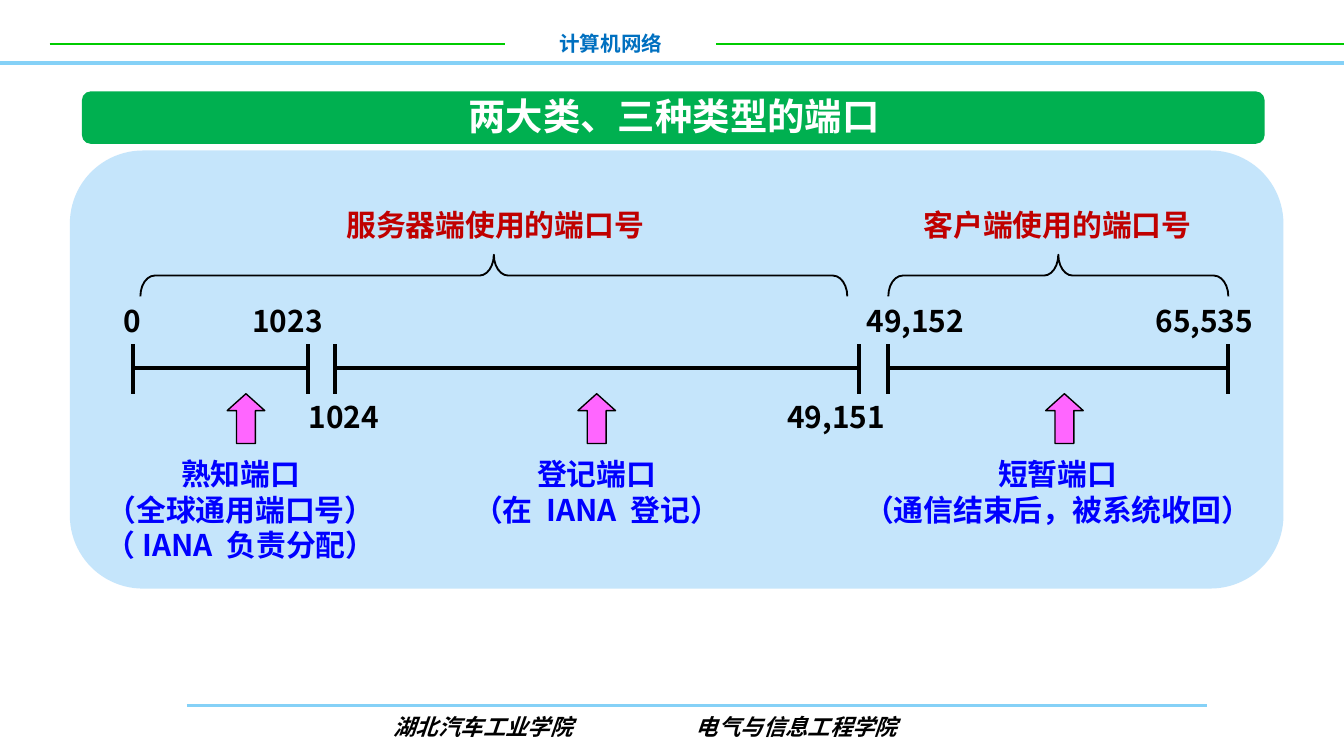
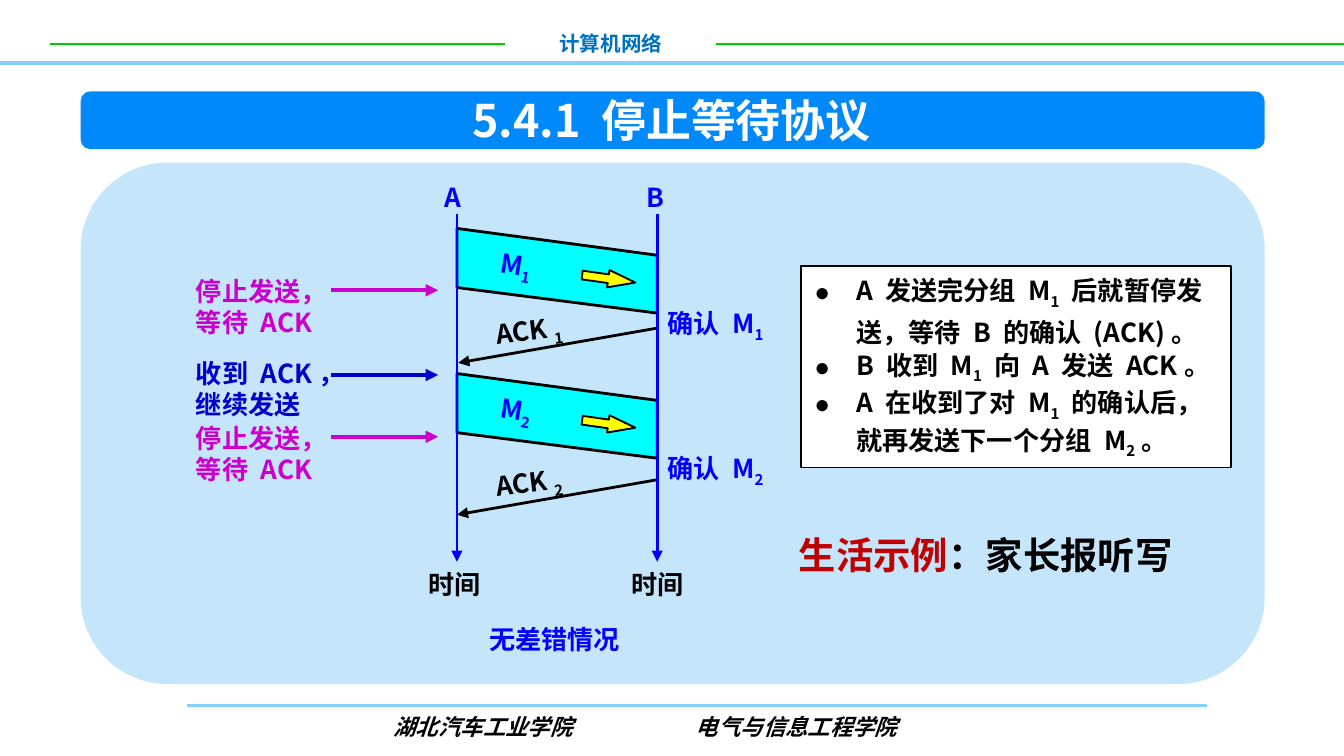
from dataclasses import dataclass

from lxml.etree import SubElement
from pptx import Presentation
from pptx.dml.color import RGBColor
from pptx.enum.shapes import MSO_CONNECTOR as Connector, MSO_SHAPE as Preset
from pptx.enum.text import MSO_ANCHOR as Anchor, MSO_AUTO_SIZE as AutoSize, PP_ALIGN as Align
from pptx.oxml.ns import qn
from pptx.util import Inches, Pt


@dataclass(frozen=True)
class Theme:
    font: str = "Noto Sans CJK SC"
    footer_font: str = "Arial"
    white: str = "FFFFFF"
    black: str = "000000"
    sky: str = "85D1F7"
    lime: str = "00CC00"
    course: str = "0070C0"
    panel: str = "C5E5FB"
    green: str = "00B050"
    azure: str = "0089FA"
    red: str = "C00000"
    blue: str = "0000FF"
    navy: str = "0000CC"
    purple: str = "CC00CC"
    pink: str = "FF66FF"
    cyan: str = "00FFFF"
    yellow: str = "FFFF00"
    course_size: int = 11
    footer_size: int = 12
    label_size: int = 14
    port_size: int = 16
    large_size: int = 20
    section_size: int = 24


THEME = Theme()


def color(value):
    return RGBColor.from_string(value)


def style_span(span, size, ink, font=THEME.font):
    span.font.size = Pt(size)
    span.font.bold = True
    span.font.color.rgb = color(ink)
    span.font.name = font
    SubElement(span.font._element, qn("a:ea"), typeface=font)


def add_span(para, text, size, ink, subscript=False):
    span = para.add_run()
    span.text = text
    style_span(span, size, ink)
    if subscript:
        span.font._element.set("baseline", "-25000")


def write_marked(para, text, size, ink):
    first, *others = text.split("_")
    add_span(para, first, size, ink)
    for part in others:
        add_span(para, part[0], size, ink, subscript=True)
        if part[1:]:
            add_span(para, part[1:], size, ink)


def write_lines(frame, lines, size, ink, align=None):
    frame.auto_size = AutoSize.NONE
    for index, line in enumerate(lines):
        para = frame.add_paragraph() if index else frame.paragraphs[0]
        para.alignment = align
        write_marked(para, line, size, ink)


def place(shape, left, top, width, height):
    shape.left, shape.top = Inches(left), Inches(top)
    shape.width, shape.height = Inches(width), Inches(height)


def add_label(shapes, area, text, size, ink, align=None, wrap=False, turn=0):
    box = shapes.add_textbox(*map(Inches, area))
    box.text_frame.word_wrap = wrap
    write_lines(box.text_frame, text.split("\n"), size, ink, align)
    box.rotation = turn
    return box


def paint(shape, fill=None, line=None, width=0.75):
    shape.shadow.inherit = False
    if fill:
        shape.fill.solid()
        shape.fill.fore_color.rgb = color(fill)
    else:
        shape.fill.background()
    if line:
        shape.line.color.rgb = color(line)
        shape.line.width = Pt(width)
    else:
        shape.line.fill.background()


def add_preset(shapes, preset, area, fill=None, line=None, width=0.75, adjust=(), turn=0):
    shape = shapes.add_shape(preset, *map(Inches, area))
    for index, value in enumerate(adjust):
        shape.adjustments[index] = value
    shape.rotation = turn
    paint(shape, fill, line, width)
    return shape


def add_line(shapes, start, end, ink, width, arrow=False):
    line = shapes.add_connector(Connector.STRAIGHT, *map(Inches, (*start, *end)))
    line.line.color.rgb = color(ink)
    line.line.width = Pt(width)
    if arrow:
        SubElement(line.line._get_or_add_ln(), qn("a:tailEnd"), type="triangle")
    SubElement(line.element.spPr, qn("a:effectLst"))
    return line


def add_master_frame(deck, page):
    shapes = page.shapes
    footer = shapes.add_textbox(*map(Inches, (2.83, 5.26, 5.75, 0.3)))
    para = footer.text_frame.paragraphs[0]
    tabs = SubElement(para._p.get_or_add_pPr(), qn("a:tabLst"))
    SubElement(tabs, qn("a:tab"), pos=str(Inches(2.25)), algn="l")
    para.text = "湖北汽车工业学院\t电气与信息工程学院"
    for span in para.runs:
        style_span(span, THEME.footer_size, THEME.black, THEME.footer_font)
        span.font.italic = True
    parts = [
        footer,
        add_line(shapes, (1.39, 5.25), (8.98, 5.25), THEME.sky, 1.5),
        add_line(shapes, (0.37, 0.33), (3.76, 0.33), THEME.lime, 1),
        add_line(shapes, (5.33, 0.33), (10, 0.33), THEME.lime, 1),
        add_line(shapes, (0, 0.47), (10, 0.47), THEME.sky, 2),
        add_label(shapes, (3.76, 0.18, 1.57, 0.29), "计算机网络",
                  THEME.course_size, THEME.course, Align.CENTER),
    ]
    tree = deck.slide_master.shapes[0].element.getparent()
    for number, part in enumerate(parts, 101):
        part.element.xpath(".//p:cNvPr")[0].set("id", str(number))
        tree.append(part.element)


def add_titled_panel(page, text, size, band_fill, band_area, title_area, panel_area):
    panel = add_preset(page.shapes, Preset.ROUNDED_RECTANGLE, panel_area, THEME.panel)
    band = add_preset(page.shapes, Preset.ROUNDED_RECTANGLE, band_area, band_fill)
    title = page.shapes.title
    place(title, *title_area)
    title.text_frame.word_wrap = False
    write_lines(title.text_frame, [text], size, THEME.white, Align.CENTER)
    band.element.addnext(title.element)
    return panel


def add_port_range(page, left, right):
    shapes = page.shapes.add_group_shape().shapes
    add_line(shapes, (left, 2.74), (right, 2.74), THEME.black, 2.25)
    for x in (left, right):
        add_line(shapes, (x, 2.56), (x, 2.93), THEME.black, 2.25)


def add_brace(page, center, span):
    add_preset(page.shapes, Preset.RIGHT_BRACE, (center - 0.16, 2.05 - span / 2, 0.31, span),
               line=THEME.black, width=1, adjust=(0.345, 0.5), turn=270)


def build_ports(page):
    add_titled_panel(page, "两大类、三种类型的端口", THEME.large_size, THEME.green,
                     (0.61, 0.68, 8.8, 0.39), (3.37, 0.64, 3.29, 0.44),
                     (0.52, 1.12, 9.03, 3.26))
    for left, right in ((0.99, 2.29), (2.49, 6.39), (6.61, 9.14)):
        add_port_range(page, left, right)
    for left, top, width, number in (
        (0.82, 2.2, 0.34, "0"), (1.78, 2.2, 0.76, "1023"), (2.2, 2.92, 0.76, "1024"),
        (5.76, 2.92, 0.96, "49,151"), (6.35, 2.2, 0.96, "49,152"), (8.5, 2.2, 0.96, "65,535"),
    ):
        add_label(page.shapes, (left, top, width, 0.37), number, THEME.port_size, THEME.black)
    for left, width, text, center, span in (
        (2.46, 2.45, "服务器端使用的端口号", 3.68, 5.26),
        (6.76, 2.22, "客户端使用的端口号", 7.88, 2.53),
    ):
        add_label(page.shapes, (left, 1.49, width, 0.37), text,
                  THEME.port_size, THEME.red, Align.CENTER)
        add_brace(page, center, span)
    for arrow_left, left, width, height, text in (
        (1.69, 0.68, 2.22, 0.91, "熟知端口\n（全球通用端口号）\n（IANA 负责分配）"),
        (4.3, 3.41, 2.06, 0.64, "登记端口\n（在 IANA 登记）"),
        (7.78, 6.31, 3.12, 0.64, "短暂端口\n（通信结束后，被系统收回）"),
    ):
        add_preset(page.shapes, Preset.UP_ARROW, (arrow_left, 2.93, 0.28, 0.37),
                   THEME.pink, THEME.black, adjust=(0.5, 0.45))
        add_label(page.shapes, (left, 3.34, width, height), text,
                  THEME.port_size, THEME.blue, Align.CENTER)


def add_message(page, top, name):
    shapes = page.shapes.add_group_shape().shapes
    corners = [(3.4, top), (4.89, top + 0.2), (4.89, top + 0.63), (3.4, top + 0.44)]
    start, *others = [(Inches(x), Inches(y)) for x, y in corners]
    builder = shapes.build_freeform(*start)
    builder.add_line_segments(others, close=True)
    paint(builder.convert_to_shape(), THEME.cyan, THEME.black, 1.5)
    add_preset(shapes, Preset.RIGHT_ARROW, (4.33, top + 0.31, 0.4, 0.13),
               THEME.yellow, THEME.black, 1, (0.5, 1.565), 8)
    add_label(shapes, (3.63, top + 0.11, 0.48, 0.33), name,
              THEME.label_size, THEME.blue, turn=9)


def add_reply(page, left, top, name):
    shapes = page.shapes.add_group_shape().shapes
    add_line(shapes, (left + 1.49, top), (left, top + 0.26), THEME.black, 1.5, arrow=True)
    add_label(shapes, (3.59, top - 0.15, 0.74, 0.34), name,
              THEME.label_size, THEME.black, turn=352.8)


def add_sender_step(page, top, arrow_top, width, text, ink):
    shapes = page.shapes.add_group_shape().shapes
    add_label(shapes, (1.36, top, width, 0.59), text, THEME.label_size, ink, wrap=True)
    add_line(shapes, (2.46, arrow_top), (3.26, arrow_top), ink, 2.25, arrow=True)


def add_timeline(page, x, name, name_left, time_left):
    add_line(page.shapes, (x, 1.59), (x, 4.18), THEME.blue, 1.5, arrow=True)
    add_label(page.shapes, (name_left, 1.3, 0.35, 0.33), name, THEME.label_size, THEME.blue)
    add_label(page.shapes, (time_left, 4.18, 0.59, 0.34), "时间", THEME.label_size, THEME.black)


def fill_bullets(body, lines):
    place(body, 5.96, 1.98, 3.2, 1.5)
    body.fill.solid()
    body.fill.fore_color.rgb = color(THEME.white)
    body.line.color.rgb = color(THEME.black)
    body.line.width = Pt(0.75)
    frame = body.text_frame
    frame.word_wrap = True
    frame.vertical_anchor = Anchor.TOP
    write_lines(frame, lines, THEME.label_size, THEME.black, Align.LEFT)
    for para in frame.paragraphs:
        para.space_before = Pt(0)
        para.line_spacing = Pt(20)
        properties = para._p.get_or_add_pPr()
        properties.set("marL", str(Inches(0.31)))
        properties.set("indent", str(Inches(-0.31)))
        SubElement(properties, qn("a:buChar"), char="●")


def build_stop_and_wait(page):
    body = page.placeholders[1]
    panel = add_titled_panel(page, "5.4.1 停止等待协议", THEME.section_size, THEME.azure,
                             (0.6, 0.68, 8.81, 0.43), (3.38, 0.64, 3.23, 0.5),
                             (0.6, 1.21, 8.81, 3.88))
    panel.element.addnext(body.element)
    fill_bullets(body, [
        "A 发送完分组 M_1 后就暂停发送，等待 B 的确认 (ACK)。",
        "B 收到 M_1 向 A 发送 ACK。",
        "A 在收到了对 M_1 的确认后，就再发送下一个分组 M_2。",
    ])
    for number, message_top, reply_left, reply_top, confirm_top in (
        (1, 1.7, 3.41, 2.44, 2.24), (2, 2.78, 3.4, 3.57, 3.32),
    ):
        add_message(page, message_top, f"M_{number}")
        add_reply(page, reply_left, reply_top, f"ACK _{number}")
        add_label(page.shapes, (4.87, confirm_top, 0.93, 0.34), f"确认 M_{number}",
                  THEME.label_size, THEME.blue)
    for top, arrow_top, width, text, ink in (
        (2, 2.16, 1.28, "停止发送，等待 ACK", THEME.purple),
        (2.61, 2.79, 1.44, "收到 ACK，继续发送", THEME.navy),
        (3.09, 3.25, 1.28, "停止发送，等待 ACK", THEME.purple),
    ):
        add_sender_step(page, top, arrow_top, width, text, ink)
    add_timeline(page, 3.4, "A", 3.21, 3.09)
    add_timeline(page, 4.89, "B", 4.71, 4.6)
    example = add_label(page.shapes, (5.83, 3.91, 3.01, 0.44), "生活示例",
                        THEME.large_size, THEME.red, Align.CENTER)
    add_span(example.text_frame.paragraphs[0], "：家长报听写", THEME.large_size, THEME.black)
    add_label(page.shapes, (3.54, 4.59, 1.18, 0.34), "无差错情况", THEME.label_size, THEME.blue)


def main():
    deck = Presentation()
    deck.slide_width, deck.slide_height = Inches(10), Inches(10 * 9 / 16)
    ports = deck.slides.add_slide(deck.slide_layouts[5])
    add_master_frame(deck, ports)
    build_ports(ports)
    build_stop_and_wait(deck.slides.add_slide(deck.slide_layouts[1]))
    deck.save("out.pptx")


if __name__ == "__main__":
    main()
